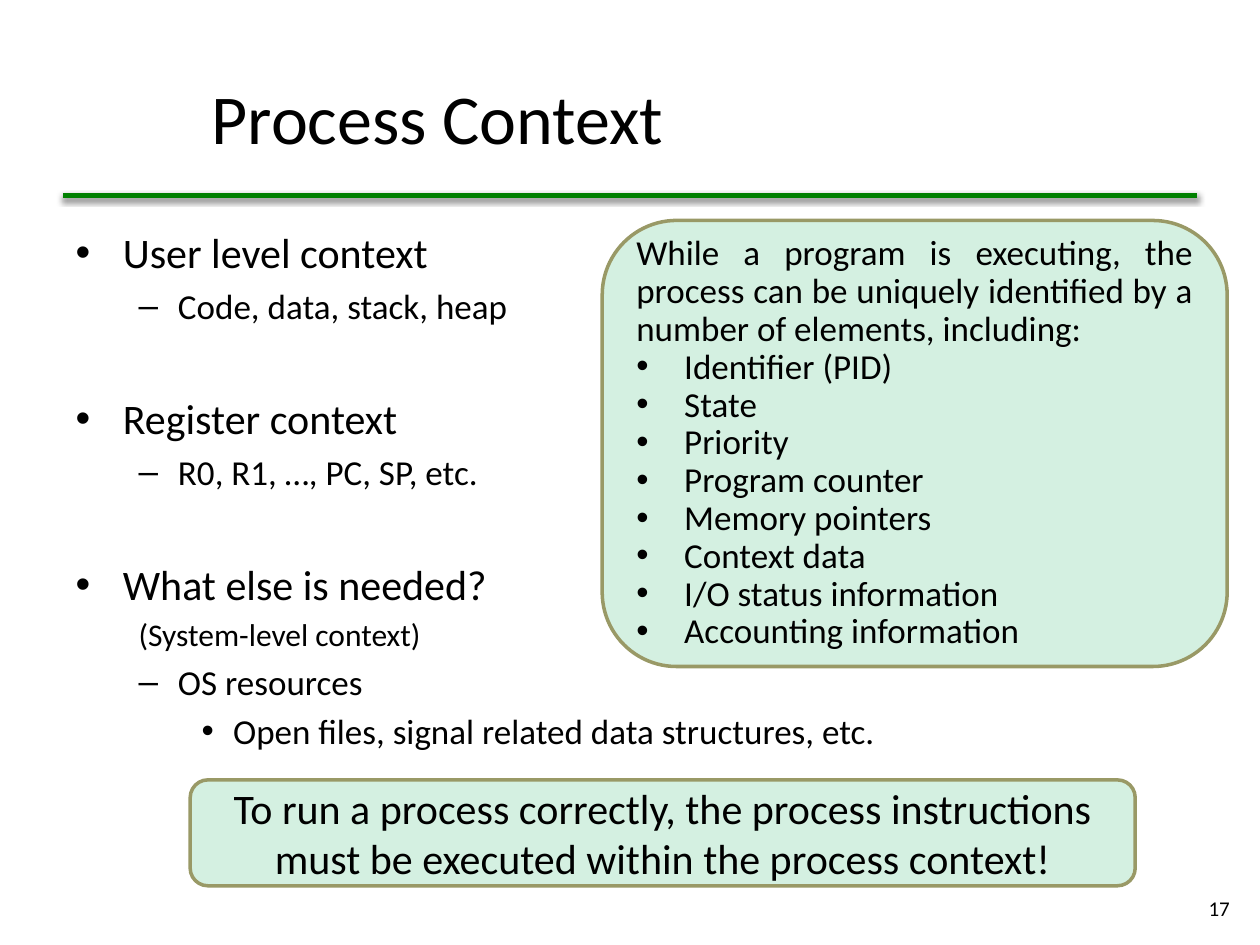
"""Build the Process Context slide."""
from dataclasses import dataclass

from lxml.etree import SubElement
from pptx import Presentation
from pptx.dml.color import RGBColor
from pptx.enum.shapes import MSO_CONNECTOR as Connector, MSO_SHAPE as Shape
from pptx.enum.text import MSO_ANCHOR as Anchor, MSO_AUTO_SIZE as AutoSize, PP_ALIGN as Align
from pptx.oxml.ns import qn
from pptx.util import Inches, Pt


@dataclass(frozen=True)
class Theme:
    font: str = "Calibri"
    ink: str = "000000"
    rule: str = "008000"
    fill: str = "D4F0E1"
    edge: str = "999966"
    title: int = 40
    large: int = 24
    medium: int = 20
    small: int = 18
    number: int = 12


THEME = Theme()
WIDTH, HEIGHT = 10, 7.5
MARGIN = WIDTH * 0.05
RULE_TOP = 1.55
BODY_TOP = RULE_TOP + 0.2
SECTION_GAP = 38

TITLE = "Process Context"
SECTIONS = [
    [(0, "User level context", THEME.large), (1, "Code, data, stack, heap", THEME.medium)],
    [(0, "Register context", THEME.large), (1, "R0, R1, …, PC, SP, etc.", THEME.medium)],
    [
        (0, "What else is needed?", THEME.large),
        (None, "(System-level context)", THEME.small),
        (1, "OS resources", THEME.medium),
        (2, "Open files, signal related data structures, etc.", THEME.medium),
    ],
]
CONCLUSION = ("To run a process correctly, the process instructions "
              "must be executed within the process context!")
INTRO = ("While a program is executing, the process can be uniquely "
         "identified by a number of elements, including:")
ELEMENTS = ["Identifier (PID)", "State", "Priority", "Program counter", "Memory pointers",
            "Context data", "I/O status information", "Accounting information"]
PAGE_NUMBER = "17"


def place(shape, left, top, width, height):
    shape.left, shape.top = Inches(left), Inches(top)
    shape.width, shape.height = Inches(width), Inches(height)


def style(para, size, align):
    para.alignment = align
    para.font.name = THEME.font
    para.font.size = Pt(size)
    para.font.color.rgb = RGBColor.from_string(THEME.ink)


def indent(para, left, hanging=0, bullet=None):
    props = para._p.get_or_add_pPr()
    props.set("marL", str(Inches(left)))
    props.set("indent", str(-Inches(hanging)))
    if bullet:
        SubElement(props, qn("a:buFont"), typeface="Arial")
        SubElement(props, qn("a:buChar"), char=bullet)
    else:
        SubElement(props, qn("a:buNone"))


def write(frame, lines, size, align, anchor=Anchor.MIDDLE):
    frame.word_wrap = True
    frame.auto_size = AutoSize.NONE
    frame.vertical_anchor = anchor
    for index, text in enumerate(lines):
        para = frame.paragraphs[0] if index == 0 else frame.add_paragraph()
        para.text = text
        style(para, size, align)


def add_rule(page):
    rule = page.shapes.add_connector(
        Connector.STRAIGHT, Inches(MARGIN), Inches(RULE_TOP), Inches(WIDTH - MARGIN), Inches(RULE_TOP))
    rule.line.color.rgb = RGBColor.from_string(THEME.rule)
    rule.line.width = Pt(3)
    effects = SubElement(rule._element.spPr, qn("a:effectLst"))
    shadow = SubElement(effects, qn("a:outerShdw"), blurRad=str(Pt(3.1)), dist=str(Pt(1.6)),
                        dir="5400000", rotWithShape="0")
    color = SubElement(shadow, qn("a:srgbClr"), val="000000")
    SubElement(color, qn("a:alpha"), val="60000")


def add_body(page):
    body = page.placeholders[1]
    place(body, MARGIN, BODY_TOP, WIDTH - 2 * MARGIN, 5.26)
    frame = body.text_frame
    frame.auto_size = AutoSize.NONE
    for number, section in enumerate(SECTIONS):
        for row, (level, text, size) in enumerate(section):
            first = number == row == 0
            para = frame.paragraphs[0] if first else frame.add_paragraph()
            para.text = text
            para.level = level or 0
            para.space_before = Pt(0 if first else SECTION_GAP if row == 0 else size * 0.2)
            if level is None:
                indent(para, 0.5)
            style(para, size, Align.JUSTIFY)


def add_panel(page, area, lines, size, align):
    panel = page.shapes.add_shape(Shape.ROUNDED_RECTANGLE, 0, 0, 0, 0)
    place(panel, *area)
    panel.shadow.inherit = False
    panel.fill.solid()
    panel.fill.fore_color.rgb = RGBColor.from_string(THEME.fill)
    panel.line.color.rgb = RGBColor.from_string(THEME.edge)
    panel.line.width = Pt(2)
    write(panel.text_frame, [], size, align)
    for index, (text, bullet) in enumerate(lines):
        frame = panel.text_frame
        para = frame.paragraphs[0] if index == 0 else frame.add_paragraph()
        para.text = text
        if bullet:
            para.line_spacing = 0.9
            indent(para, 0.38, 0.38, bullet)
        elif len(lines) > 1:
            para.line_spacing = 0.9
        style(para, size, align)


def main():
    deck = Presentation()
    deck.slide_width, deck.slide_height = Inches(WIDTH), Inches(HEIGHT)
    page = deck.slides.add_slide(deck.slide_layouts[1])

    place(page.shapes.title, 1.58, 0.3, 8.27, RULE_TOP - 0.3)
    write(page.shapes.title.text_frame, [TITLE], THEME.title, Align.LEFT)
    add_rule(page)
    add_body(page)
    add_panel(page, (1.51, 6.19, 7.5, 0.84), [(CONCLUSION, None)], THEME.large, Align.CENTER)
    add_panel(page, (4.78, BODY_TOP, 4.96, 3.54),
              [(INTRO, None)] + [(name, "•") for name in ELEMENTS], THEME.medium, Align.JUSTIFY)

    number = page.shapes.add_textbox(0, 0, 0, 0)
    place(number, 9.46, 7.01, 0.4, 0.4)
    write(number.text_frame, [PAGE_NUMBER], THEME.number, Align.RIGHT)
    deck.save("out.pptx")


if __name__ == "__main__":
    main()
